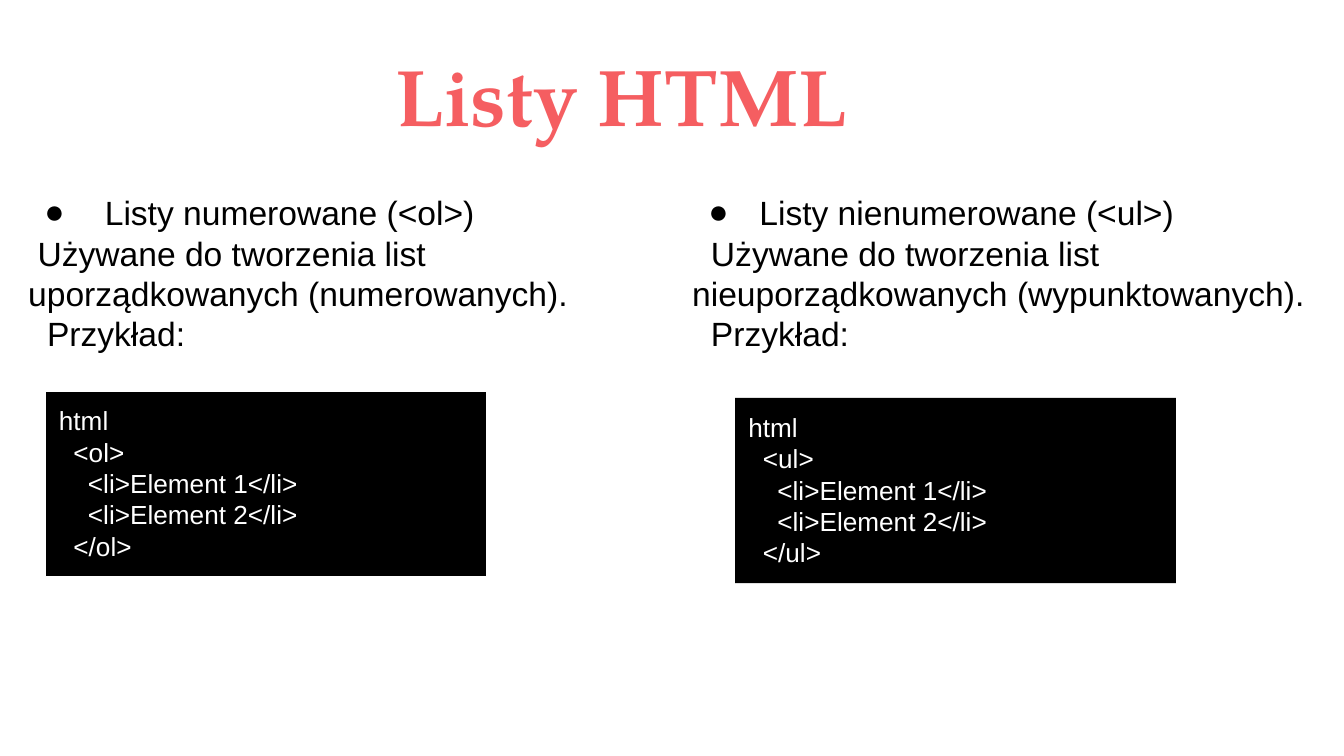
from lxml.etree import SubElement
from pptx import Presentation
from pptx.dml.color import RGBColor
from pptx.enum.shapes import MSO_SHAPE
from pptx.enum.text import MSO_ANCHOR, MSO_AUTO_SIZE, PP_ALIGN
from pptx.oxml.ns import qn
from pptx.util import Inches, Pt

CORAL = RGBColor(0xF5, 0x5E, 0x61)
BLACK = RGBColor(0x00, 0x00, 0x00)
WHITE = RGBColor(0xFF, 0xFF, 0xFF)


def prepare_frame(frame, anchor):
    frame.word_wrap = True
    frame.auto_size = MSO_AUTO_SIZE.NONE
    frame.vertical_anchor = anchor
    frame.margin_left = frame.margin_right = Inches(0.1)
    frame.margin_top = frame.margin_bottom = Inches(0.1)


def style_paragraph(paragraph, font_name, size, color):
    paragraph.alignment = PP_ALIGN.LEFT
    paragraph.space_before = paragraph.space_after = Pt(0)
    paragraph.font.name = font_name
    paragraph.font.size = Pt(size)
    paragraph.font.color.rgb = color


prs = Presentation()
prs.slide_width = Inches(10)
prs.slide_height = prs.slide_width * 9 // 16
slide = prs.slides.add_slide(prs.slide_layouts[3])

title = slide.shapes.title
title.left, title.top = Inches(2.84), Inches(0.33)
title.width, title.height = Inches(4.31), Inches(0.83)
prepare_frame(title.text_frame, MSO_ANCHOR.BOTTOM)
title.text_frame.text = "Listy HTML"
heading = title.text_frame.paragraphs[0]
style_paragraph(heading, "TeX Gyre Pagella", 43, CORAL)
heading.font.bold = True

columns = [
    (1, 0.11, 4.53, 1.41, [
        ("Listy numerowane (<ol>)", 0.57, -0.45),
        ("Używane do tworzenia list uporządkowanych (numerowanych).", 0, 0.07),
        ("Przykład:", 0, 0.14),
    ]),
    (2, 5.05, 4.85, 2.02, [
        ("Listy nienumerowane (<ul>)", 0.5, -0.38),
        ("Używane do tworzenia list nieuporządkowanych (wypunktowanych).", 0, 0.14),
        ("Przykład:", 0, 0.14),
    ]),
]
for index, left, width, height, lines in columns:
    description = slide.placeholders[index]
    description.left, description.top = Inches(left), Inches(1.33)
    description.width, description.height = Inches(width), Inches(height)
    prepare_frame(description.text_frame, MSO_ANCHOR.TOP)
    description.text_frame.text = "\n".join(text for text, _, _ in lines)
    for paragraph, (_, margin, indent) in zip(description.text_frame.paragraphs, lines):
        properties = paragraph._p.get_or_add_pPr()
        properties.set("marL", str(Inches(margin)))
        properties.set("indent", str(Inches(indent)))
        if indent < 0:
            SubElement(properties, qn("a:buFont"), typeface="Arial")
            SubElement(properties, qn("a:buChar"), char="●")
        else:
            SubElement(properties, qn("a:buNone"))
        style_paragraph(paragraph, "Arial", 18, BLACK)
        paragraph.line_spacing = Pt(21.6)

for tag, left, top in [("ol", 0.34, 2.91), ("ul", 5.47, 2.96)]:
    code = slide.shapes.add_shape(
        MSO_SHAPE.RECTANGLE, Inches(left), Inches(top), Inches(3.28), Inches(1.38))
    code.shadow.inherit = False
    code.fill.solid()
    code.fill.fore_color.rgb = BLACK
    if tag == "ol":
        code.line.color.rgb = WHITE
        code.line.width = Pt(0.75)
    else:
        code.line.fill.background()
    prepare_frame(code.text_frame, MSO_ANCHOR.TOP)
    code.text_frame.text = "\n".join([
        "html",
        f"  <{tag}>",
        "    <li>Element 1</li>",
        "    <li>Element 2</li>",
        f"  </{tag}>",
    ])
    for paragraph in code.text_frame.paragraphs:
        style_paragraph(paragraph, "Arial", 14, WHITE)
        paragraph.line_spacing = Pt(16.8)

prs.save("out.pptx")
